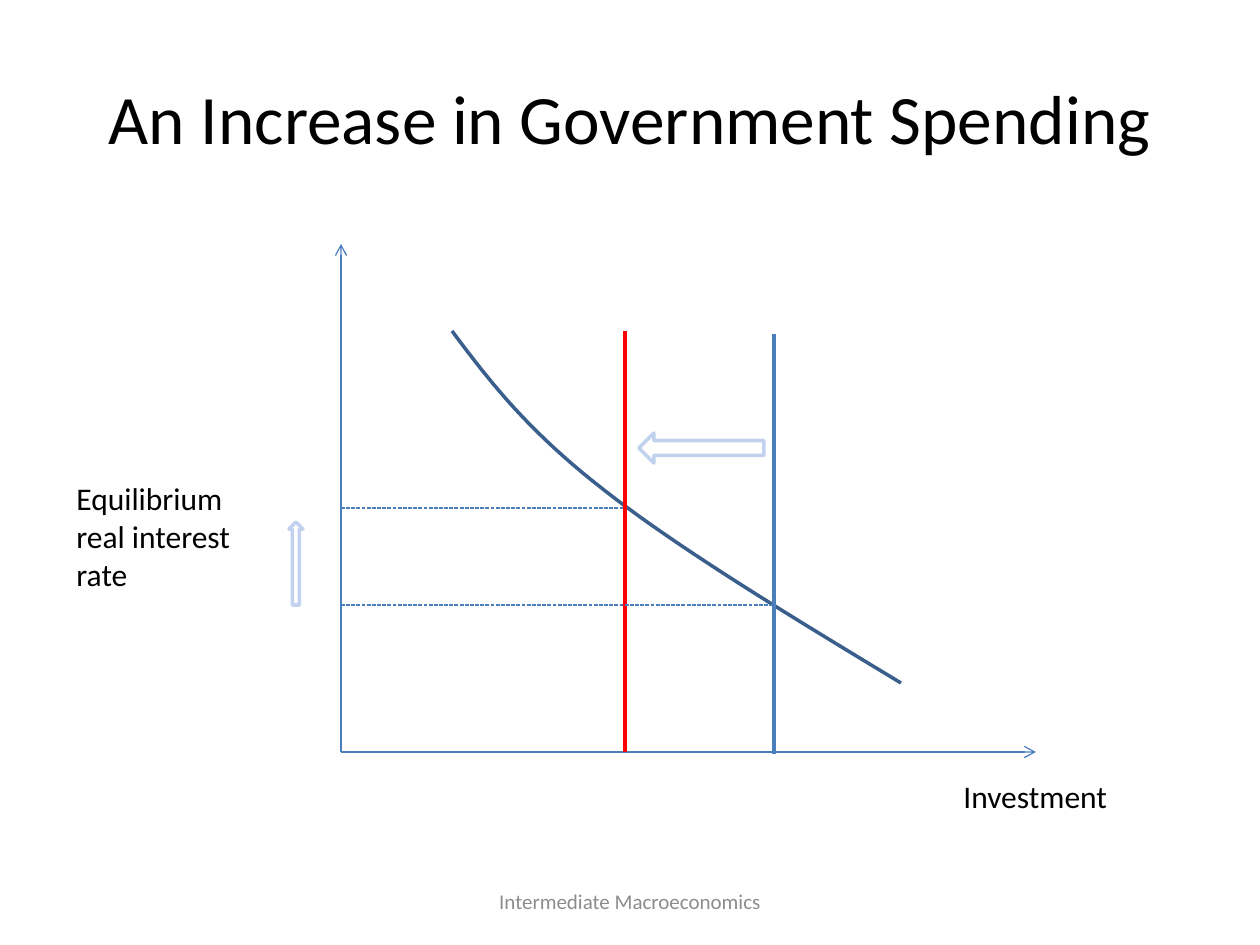
import pptx
import pptx.util
import pptx.dml.color
import pptx.enum.dml
import pptx.enum.shapes
import pptx.enum.text
import pptx.oxml.ns
import lxml.etree

EMU_PER_PX = 914400 / 126
BLUE, NAVY, PALE, RED = "4B7EBC", "3A5F8C", "C2D1ED", "FF0000"
BLACK, GRAY = "000000", "8C8C8C"
ALIGN = pptx.enum.text.PP_ALIGN
ANCHOR = pptx.enum.text.MSO_ANCHOR
SHAPE = pptx.enum.shapes.MSO_SHAPE


def px(*lengths):
    return [pptx.util.Emu(round(length * EMU_PER_PX)) for length in lengths]


def color(hex_code):
    return pptx.dml.color.RGBColor.from_string(hex_code)


def add_text(slide, text, box, size=18, ink=BLACK, align=ALIGN.LEFT, anchor=ANCHOR.TOP):
    frame = slide.shapes.add_textbox(*px(*box)).text_frame
    frame.word_wrap = True
    frame.vertical_anchor = anchor
    paragraph = frame.paragraphs[0]
    paragraph.alignment = align
    run = paragraph.add_run()
    run.text = text
    run.font.name = "Calibri"
    run.font.size = pptx.util.Pt(size)
    run.font.color.rgb = color(ink)


def add_line(slide, start, end, ink=BLUE, width=0.75, dashed=False, arrow=False):
    straight = pptx.enum.shapes.MSO_CONNECTOR.STRAIGHT
    connector = slide.shapes.add_connector(straight, *px(*start, *end))
    connector.line.color.rgb = color(ink)
    connector.line.width = pptx.util.Pt(width)
    if dashed:
        connector.line.dash_style = pptx.enum.dml.MSO_LINE.SQUARE_DOT
    qn = pptx.oxml.ns.qn
    if arrow:
        lxml.etree.SubElement(connector.line._get_or_add_ln(), qn("a:tailEnd"), type="arrow")
    lxml.etree.SubElement(connector._element.spPr, qn("a:effectLst"))


def outline(shape, ink):
    shape.shadow.inherit = False
    shape.fill.background()
    shape.line.color.rgb = color(ink)
    shape.line.width = pptx.util.Pt(2)


def add_block_arrow(slide, kind, box):
    outline(slide.shapes.add_shape(kind, *px(*box)), PALE)


def bezier(controls, steps=20):
    for step in range(1, steps + 1):
        t = step / steps
        weights = ((1 - t) ** 3, 3 * t * (1 - t) ** 2, 3 * t * t * (1 - t), t ** 3)
        yield tuple(sum(w * point[axis] for w, point in zip(weights, controls))
                    for axis in (0, 1))


def add_curve(slide, controls):
    points = [point for first in range(0, len(controls) - 1, 3)
              for point in bezier(controls[first:first + 4])]
    builder = slide.shapes.build_freeform(*px(*controls[0]))
    builder.add_line_segments([px(*point) for point in points], close=False)
    outline(builder.convert_to_shape(), NAVY)


def investment_market(slide, left, top, width, height):
    def at(x, y):
        return left + x, top + y

    origin = at(0, height)
    add_line(slide, origin, at(width, height), arrow=True)
    add_line(slide, origin, at(0, 0), arrow=True)
    demand = [(111, 87), (149, 138), (187, 187), (263, 246),
              (337, 304), (449, 372), (560, 439)]
    add_curve(slide, [at(*point) for point in demand])

    new_supply, old_supply = 284, 433
    new_rate, old_rate = 264, 361
    add_line(slide, at(0, new_rate), at(new_supply, new_rate), dashed=True)
    add_line(slide, at(new_supply, 87), at(new_supply, height), ink=RED, width=2)
    add_line(slide, at(old_supply, 90), at(old_supply, height + 2), width=2)
    add_block_arrow(slide, SHAPE.LEFT_ARROW, (*at(298, 189), 125, 30))
    add_line(slide, at(0, old_rate), at(old_supply, old_rate), dashed=True)
    add_block_arrow(slide, SHAPE.UP_ARROW, (*at(-52, 278), 14, 83))

    add_text(slide, "Investment", (*at(610, 527), 243, 50))
    add_text(slide, "Equilibrium real interest rate", (*at(-277, 229), 198, 127))


def heading(slide, left, top, width, height):
    add_text(slide, "An Increase in Government Spending", (left, top, width, height),
             size=39.6, align=ALIGN.CENTER, anchor=ANCHOR.MIDDLE)


def footer(slide, left, top, width, height):
    add_text(slide, "Intermediate Macroeconomics", (left, top, width, height),
             size=12, ink=GRAY, align=ALIGN.CENTER, anchor=ANCHOR.MIDDLE)


def main():
    deck = pptx.Presentation()
    deck.slide_width, deck.slide_height = px(1260, 945)
    slide = deck.slides.add_slide(deck.slide_layouts[6])
    heading(slide, 63, 38, 1134, 158)
    footer(slide, 430, 876, 400, 50)
    investment_market(slide, 341, 244, 695, 508)
    deck.save("out.pptx")


if __name__ == "__main__":
    main()
